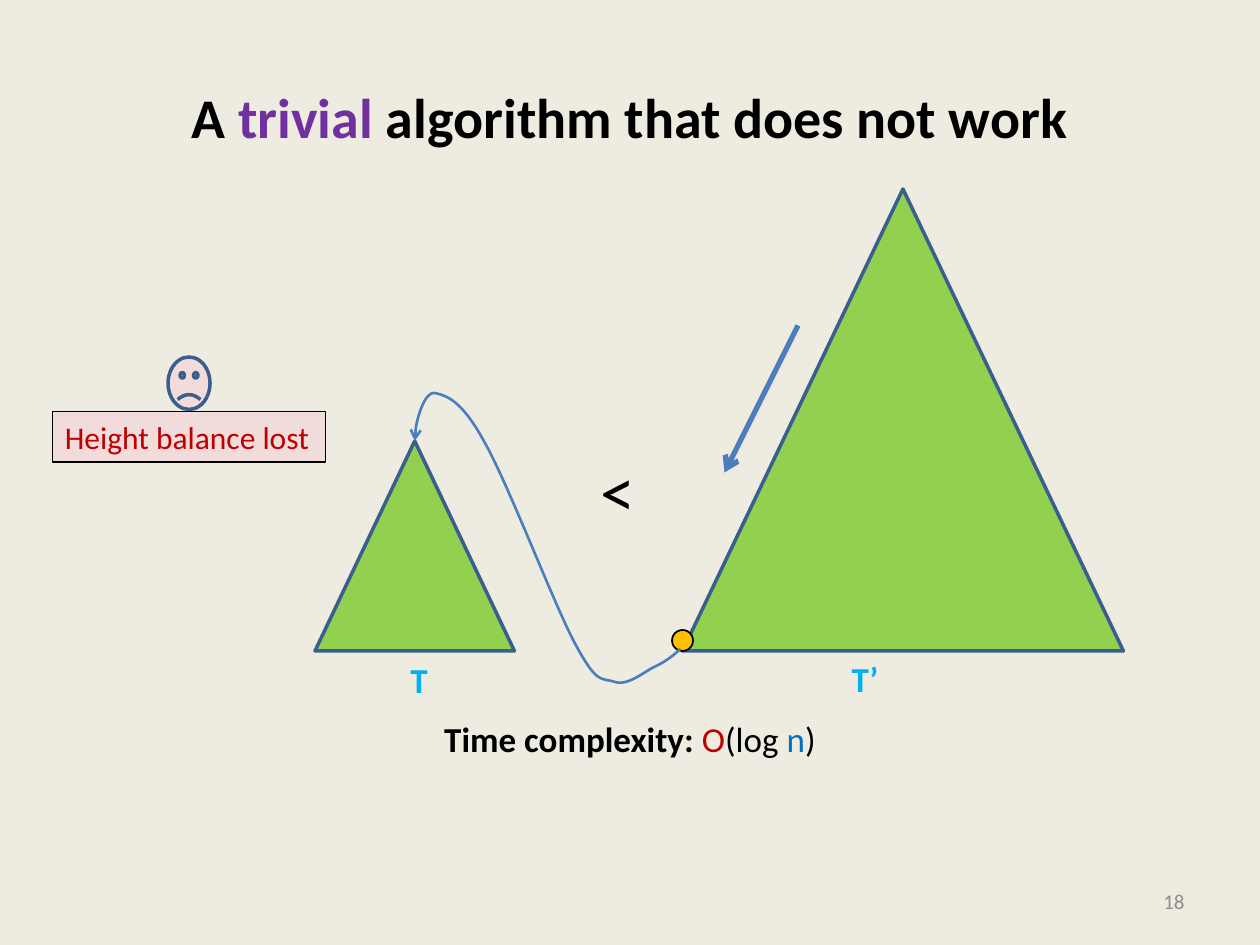
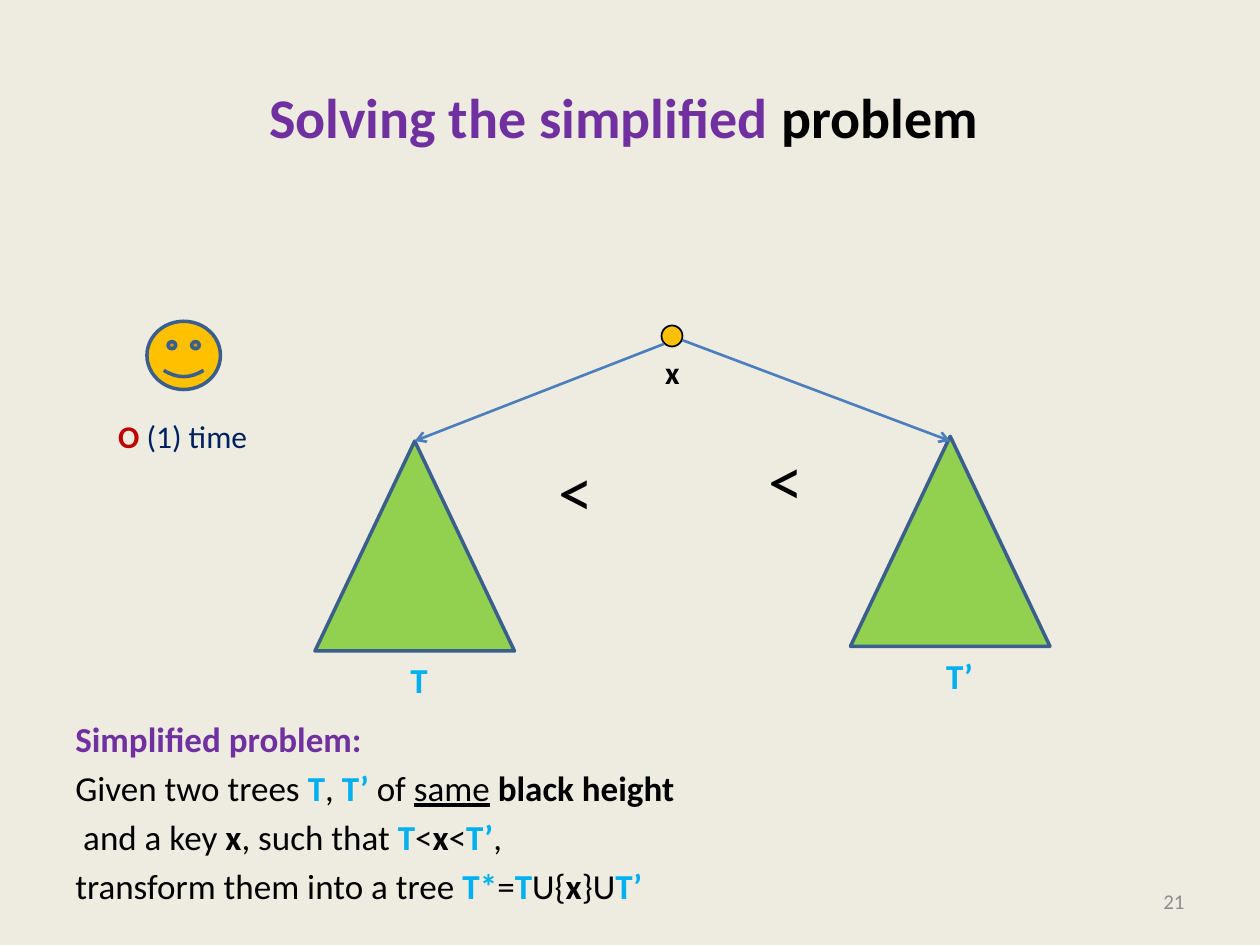
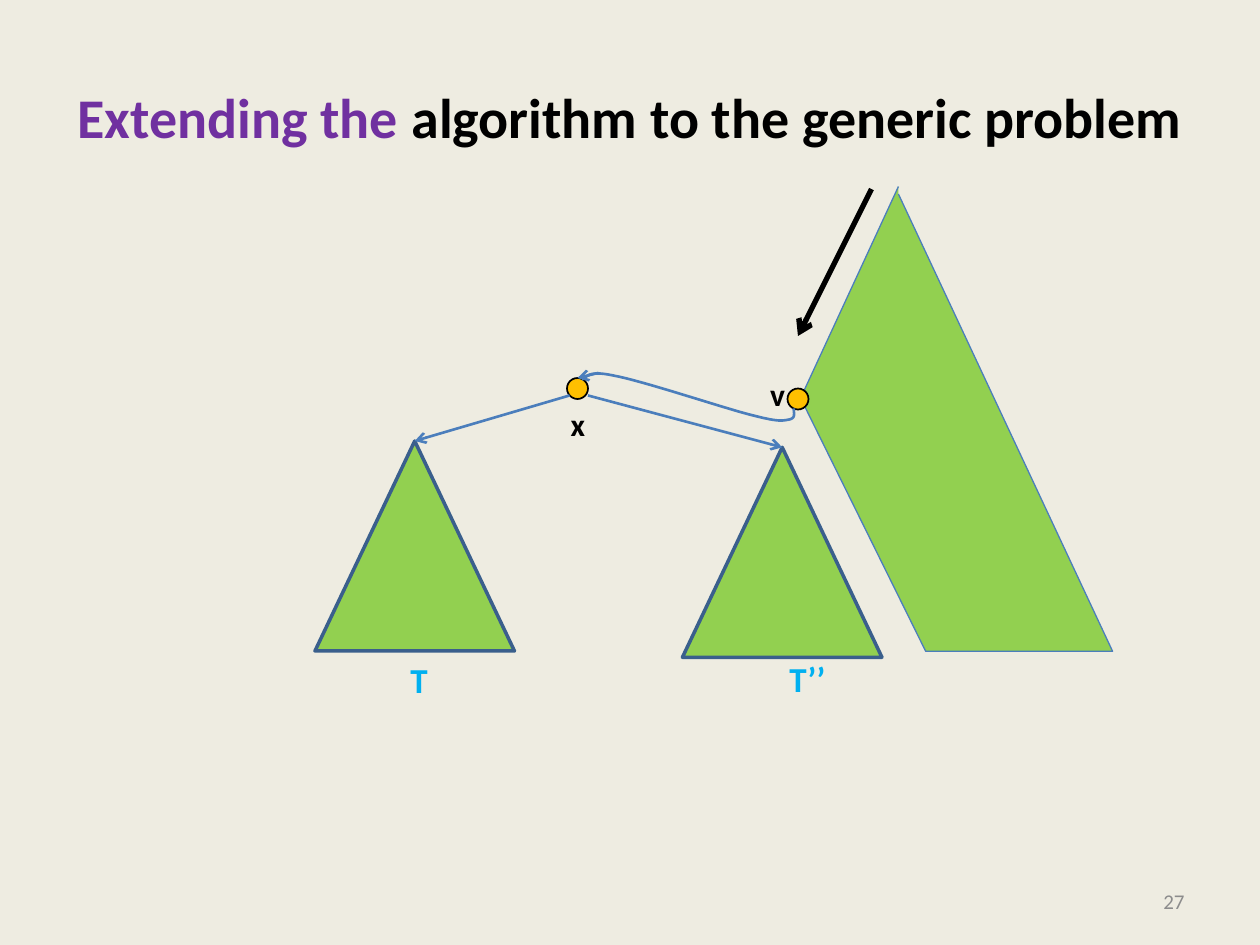
from dataclasses import dataclass

from lxml import etree
from pptx import Presentation
from pptx.dml.color import RGBColor
from pptx.enum.shapes import MSO_CONNECTOR, MSO_SHAPE
from pptx.enum.text import MSO_ANCHOR, MSO_AUTO_SIZE, PP_ALIGN
from pptx.oxml.ns import qn
from pptx.util import Pt

TRIANGLE = MSO_SHAPE.ISOSCELES_TRIANGLE
OVAL = MSO_SHAPE.OVAL
FACE = MSO_SHAPE.SMILEY_FACE
RECTANGLE = MSO_SHAPE.RECTANGLE
STRAIGHT = MSO_CONNECTOR.STRAIGHT
LEFT, CENTER, RIGHT = PP_ALIGN.LEFT, PP_ALIGN.CENTER, PP_ALIGN.RIGHT
TOP, MIDDLE = MSO_ANCHOR.TOP, MSO_ANCHOR.MIDDLE
FIT_SHAPE = MSO_AUTO_SIZE.SHAPE_TO_FIT_TEXT
APEX = 0


@dataclass(frozen=True)
class Theme:
    font: str = "Calibri"
    background: str = "EEECE1"
    ink: str = "000000"
    purple: str = "7030A0"
    sky: str = "00B0F0"
    red: str = "C00000"
    blue: str = "0070C0"
    navy: str = "002060"
    gray: str = "8C8C8C"
    green: str = "92D050"
    gold: str = "FFC000"
    pink: str = "F2DCDB"
    outline: str = "3A5F8C"
    arrow: str = "4B7EBC"
    title_size: int = 32
    body_size: int = 20
    label_size: int = 18
    sign_size: int = 40
    number_size: int = 12


@dataclass(frozen=True)
class Span:
    text: str
    color: str = Theme.ink
    bold: bool = False
    underline: bool = False


def strong(text, color=Theme.ink):
    return Span(text, color, True)


def tree_name(text):
    return strong(text, Theme.sky)


def curve_points(start, *segments, steps=16):
    points = [start]
    for first, second, end in segments:
        origin = points[-1]
        for step in range(1, steps + 1):
            t = step / steps
            u = 1 - t
            points.append(tuple(
                u**3 * a + 3 * u**2 * t * b + 3 * u * t**2 * c + t**3 * d
                for a, b, c, d in zip(origin, first, second, end)))
    return points


class Painter:
    def __init__(self, deck, theme):
        self.deck = deck
        self.theme = theme
        self.page = None

    def start_page(self, title, number):
        theme = self.theme
        self.page = self.deck.slides.add_slide(self.deck.slide_layouts[6])
        fill = self.page.background.fill
        fill.solid()
        fill.fore_color.rgb = RGBColor.from_string(theme.background)
        self.text((36, 21.6, 648, 90), [title], theme.title_size, CENTER, MIDDLE)
        self.text((516, 500.4, 168, 28.8), [[Span(str(number), theme.gray)]],
                  theme.number_size, RIGHT, MIDDLE)

    def add_text(self, frame, paragraphs, size, align=LEFT):
        for index, spans in enumerate(paragraphs):
            para = frame.add_paragraph() if index else frame.paragraphs[0]
            para.alignment = align
            para.space_before = Pt(0.2 * size if index else 0)
            for span in spans:
                run = para.add_run()
                run.text = span.text
                run.font.name = self.theme.font
                run.font.size = Pt(size)
                run.font.bold = span.bold
                run.font.underline = span.underline
                run.font.color.rgb = RGBColor.from_string(span.color)

    def text(self, place, paragraphs, size, align=LEFT, anchor=TOP):
        box = self.page.shapes.add_textbox(*map(Pt, place))
        box.text_frame.word_wrap = True
        box.text_frame.vertical_anchor = anchor
        self.add_text(box.text_frame, paragraphs, size, align)

    def label(self, place, spans, size):
        box = self.page.shapes.add_textbox(*map(Pt, place))
        box.text_frame.word_wrap = False
        box.text_frame.auto_size = FIT_SHAPE
        self.add_text(box.text_frame, [spans], size)

    def body(self, paragraphs, align=LEFT):
        self.text((36, 406.4, 648, 120), paragraphs, self.theme.body_size, align)

    def paint(self, shape, fill, line, width):
        shape.shadow.inherit = False
        if fill:
            shape.fill.solid()
            shape.fill.fore_color.rgb = RGBColor.from_string(fill)
        else:
            shape.fill.background()
        shape.line.color.rgb = RGBColor.from_string(line)
        shape.line.width = Pt(width)

    def shape(self, kind, place, fill, line, width):
        shape = self.page.shapes.add_shape(kind, *map(Pt, place))
        self.paint(shape, fill, line, width)
        return shape

    def triangle(self, left, top, width=114, height=120):
        return self.shape(TRIANGLE, (left, top, width, height),
                          self.theme.green, self.theme.outline, 2)

    def caption(self, left, top, name, width=30.2):
        self.label((left, top, width, 31.5), [tree_name(name)], self.theme.body_size)

    def tree(self, left, top, name):
        triangle = self.triangle(left, top)
        self.caption(left + 47.5, top + 121, name, 24.5 if name == "T" else 30.2)
        return triangle

    def node(self, left, top):
        self.shape(OVAL, (left, top, 12, 12), self.theme.gold, self.theme.ink, 1)

    def key(self, left, top, name):
        self.label((left, top, 23, 29), [strong(name)], self.theme.label_size)

    def less_than(self, left, top):
        self.label((left, top, 34.6, 55.4), [Span("<")], self.theme.sign_size)

    def face(self, place, fill, smile):
        face = self.shape(FACE, place, fill, self.theme.outline, 2)
        face.adjustments[0] = smile

    def outline(self, points, fill=None, width=1.5, close=False):
        start, *others = [tuple(map(Pt, point)) for point in points]
        builder = self.page.shapes.build_freeform(*start, scale=1.0)
        builder.add_line_segments(others, close=close)
        self.paint(builder.convert_to_shape(), fill, self.theme.arrow, width)

    def arrow(self, start, end, color=Theme.arrow, width=1.5, tree=None):
        line = self.page.shapes.add_connector(STRAIGHT, *map(Pt, (*start, *end)))
        if tree is not None:
            line.end_connect(tree, APEX)
        line.line.color.rgb = RGBColor.from_string(color)
        line.line.width = Pt(width)
        properties = line.element.spPr
        etree.SubElement(properties.find(qn("a:ln")), qn("a:tailEnd"), type="arrow")
        etree.SubElement(properties, qn("a:effectLst"))


def draw_trivial(painter):
    theme = painter.theme
    painter.start_page([strong("A "), strong("trivial", theme.purple),
                        strong(" algorithm that does not work")], 18)
    painter.triangle(390, 108, 252, 264)
    painter.caption(479.5, 372, "T’")
    painter.body([[strong("Time complexity: "), Span("O", theme.red), Span("(log "),
                   Span("n", theme.blue), Span(")")]], CENTER)
    painter.node(384, 360)
    painter.outline(curve_points(
        (388.8, 370.8),
        ((384.5, 375.1), (379.4, 378.7), (373, 381.6)),
        ((366.5, 385.2), (357.8, 392.4), (350.6, 389.5)),
        ((342.7, 387.4), (340.6, 390.2), (328.3, 367.2)),
        ((316.1, 344.2), (290.2, 275.8), (276.5, 252)),
        ((263.5, 228.2), (254.9, 226.1), (248.4, 224.6)),
        ((241.9, 223.9), (237.6, 242.6), (237.6, 245.5))))
    painter.arrow((237.6, 245.5), (237, 252), tree=painter.tree(180, 252, "T"))
    painter.less_than(336, 252)
    painter.arrow((456, 186), (414, 270), width=3)
    painter.face((96, 204, 24, 30), theme.pink, -0.047)
    lost = painter.shape(RECTANGLE, (30, 235, 156, 29), theme.pink, theme.ink, 0.75)
    lost.text_frame.word_wrap = False
    painter.add_text(lost.text_frame, [[Span("Height balance lost", theme.red)]],
                     theme.label_size)


def draw_simplified(painter):
    theme = painter.theme
    painter.start_page([strong("Solving the simplified", theme.purple),
                        strong(" problem ")], 21)
    painter.body([
        [strong("Simplified problem:", theme.purple)],
        [Span("Given two trees "), tree_name("T"), Span(", "), tree_name("T’"),
         Span(" of "), Span("same", underline=True), Span(" "),
         strong("black height")],
        [Span(" and a key "), strong("x"), Span(", such that "), tree_name("T"),
         Span("<"), strong("x"), Span("<"), tree_name("T’"), Span(",")],
        [Span("transform them into a tree "), tree_name("T*"), Span("="),
         tree_name("T"), Span("U{"), strong("x"), Span("}U"), tree_name("T’")],
    ])
    left_tree = painter.tree(180, 252, "T")
    painter.face((84, 183.6, 42, 39), theme.gold, 0.047)
    painter.label((60.5, 235, 89.3, 29),
                  [strong("O ", theme.red), Span("(1) time", theme.navy)],
                  theme.label_size)
    painter.tree(486, 249.3, "T’")
    painter.node(378, 186)
    painter.less_than(312, 252)
    painter.less_than(432, 246)
    painter.key(373, 198, "x")
    painter.arrow((379.5, 196.5), (237, 252), tree=left_tree)
    painter.arrow((390, 194.4), (543, 252))


def draw_generic(painter):
    theme = painter.theme
    painter.start_page([strong("Extending the ", theme.purple),
                        strong("algorithm to the generic problem")], 27)
    left_tree = painter.tree(180, 252, "T")
    painter.node(324, 216)
    painter.key(319, 228, "x")
    painter.outline([(513.4, 106.6), (457.5, 227.5), (529, 372.2), (635.8, 372.2),
                     (513.4, 110.9)], theme.green, 0.75)
    right_tree = painter.triangle(390, 255.6)
    painter.node(450, 222)
    painter.arrow((498, 108), (456, 192), theme.ink, 3)
    painter.arrow((336, 226), (447, 255.6), tree=right_tree)
    painter.arrow((325.5, 226), (237, 252), tree=left_tree)
    painter.outline(curve_points(
        (453.6, 233.3),
        ((453.6, 236.2), (455, 239), (450.7, 239.8)),
        ((446.4, 240.5), (445, 241.2), (428.4, 236.9)),
        ((411.8, 232.6), (366.5, 217.4), (350.6, 214.6)),
        ((334.1, 211), (335.5, 216.7), (332.6, 216.7))))
    painter.arrow((342, 213.1), (330, 216))
    painter.caption(444, 372, "T’’", 35.3)
    painter.key(433, 211, "v")


def main():
    deck = Presentation()
    deck.slide_width, deck.slide_height = Pt(720), Pt(540)
    painter = Painter(deck, Theme())
    for draw in (draw_trivial, draw_simplified, draw_generic):
        draw(painter)
    deck.save("out.pptx")


if __name__ == "__main__":
    main()
